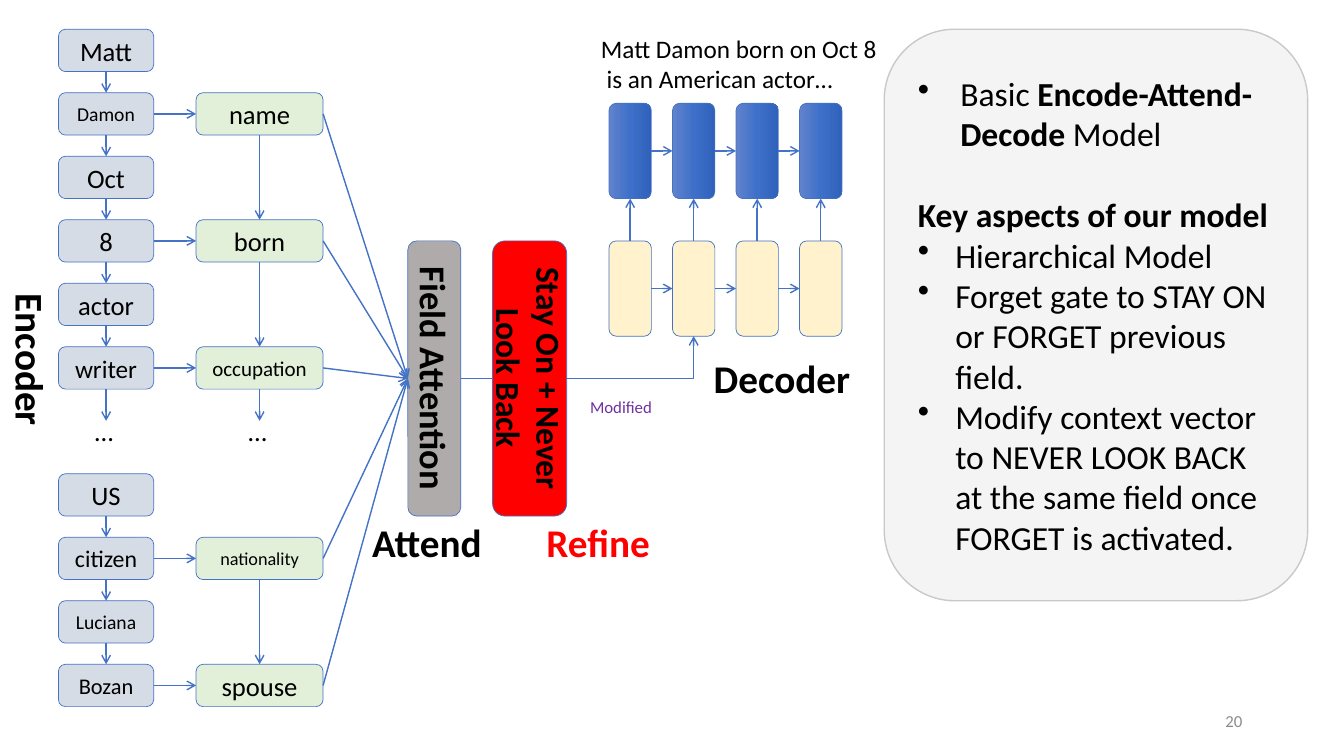
from copy import deepcopy
from dataclasses import dataclass

from pptx import Presentation
from pptx.dml.color import RGBColor as RGB
from pptx.enum.shapes import MSO_CONNECTOR as Wire, MSO_SHAPE as Shape
from pptx.enum.text import MSO_ANCHOR as Anchor, MSO_AUTO_SIZE as Fit, PP_ALIGN as Align
from pptx.oxml.ns import qn
from pptx.oxml.xmlchemy import OxmlElement as Node
from pptx.util import Inches, Pt


@dataclass(frozen=True)
class Theme:
    font: str = "Calibri"
    ink: str = "000000"
    line: str = "4472C4"
    token: str = "D6DCE5"
    field: str = "E2F0D9"
    cell: str = "FFF2CC"
    bar: str = "AFABAB"
    red: str = "FF0000"
    violet: str = "7030A0"
    gray: str = "8C8C8C"
    panel: str = "DBDBDB"
    edge: str = "C9C9C9"
    fade: tuple = ((0, "6183CB"), (0.5, "3E70CA"), (1, "3062BB"))
    title: int = 28
    large: int = 26
    body: int = 24
    label: int = 19
    quote: int = 18
    small: int = 12


T = Theme()
UNIT, LEFT, TOP = 0.21, 0.58, 0.29  # grid step and origin, inches
UP, WEST, DOWN, EAST = range(4)     # sides of a rectangle
PADS = (0.13, 0.07)

TOKENS = [(0, "Matt", 19), (1, "Damon", 14), (2, "Oct", 19), (3, "8", 19),
          (4, "actor", 19), (5, "writer", 18), (7, "US", 19),
          (8, "citizen", 17), (9, "Luciana", 14), (10, "Bozan", 16)]
FIELDS = [(1, "name", 19), (3, "born", 19), (5, "occupation", 15),
          (8, "nationality", 13), (10, "spouse", 19)]
# Each point: runs as (text, bold), hanging indent, space before
POINTS = [
    ([("Basic ", False), ("Encode-Attend-Decode", True), (" Model", False)], 0.42, 0),
    ([("Key aspects of our model", True)], 0, 29),
    ([("Hierarchical Model", False)], 0.37, 0),
    ([("Forget gate to STAY ON or FORGET previous field.", False)], 0.37, 0),
    ([("Modify context vector to NEVER LOOK BACK at the same field once "
       "FORGET is activated.", False)], 0.37, 0),
]


def spot(col, row):
    return Inches(LEFT + col * UNIT), Inches(TOP + row * UNIT)


def place(col, row, wide, high, turn):
    """Frame that covers the given grid area once it is turned."""
    x, y = spot(col, row)
    w, h = Inches(wide * UNIT), Inches(high * UNIT)
    if turn % 180:
        return x + (w - h) // 2, y + (h - w) // 2, h, w
    return x, y, w, h


def style(run, size, color=T.ink, bold=False):
    font = run.font
    font.name, font.size, font.bold = T.font, Pt(size), bold
    font.color.rgb = RGB.from_string(color)


def pad(frame, pads):
    frame.margin_left = frame.margin_right = Inches(pads[0])
    frame.margin_top = frame.margin_bottom = Inches(pads[1])


def write(frame, text, size, color, bold, align):
    frame.text = text
    for para in frame.paragraphs:
        para.alignment = align
        for run in para.runs:
            style(run, size, color, bold)


def box(slide, area, fill, text="", size=T.label, bold=False, turn=0):
    shape = slide.shapes.add_shape(Shape.ROUNDED_RECTANGLE, *place(*area, turn))
    shape.rotation = turn
    shape.shadow.inherit = False
    shape.fill.solid()
    shape.fill.fore_color.rgb = RGB.from_string(fill)
    shape.line.color.rgb = RGB.from_string(T.line)
    shape.line.width = Pt(0.5)
    frame = shape.text_frame
    frame.word_wrap, frame.vertical_anchor = True, Anchor.MIDDLE
    pad(frame, PADS)
    if text:
        write(frame, text, size, T.ink, bold, Align.CENTER)
    return shape


def shade(shape):
    shape.fill.gradient()
    shape.fill.gradient_angle = 270
    stops = shape._element.spPr.find(".//" + qn("a:gsLst"))
    stops.insert(1, deepcopy(stops[0]))
    for stop, (pos, color) in zip(shape.fill.gradient_stops, T.fade):
        stop.position = pos
        stop.color.rgb = RGB.from_string(color)


def note(slide, area, text, size, color=T.ink, bold=False, turn=0,
         align=Align.LEFT, pads=PADS, wrap=False):
    shape = slide.shapes.add_textbox(*place(*area, turn))
    shape.rotation = turn
    frame = shape.text_frame
    frame.word_wrap = wrap
    frame.auto_size = Fit.NONE if wrap else Fit.SHAPE_TO_FIT_TEXT
    pad(frame, pads)
    write(frame, text, size, color, bold, align)
    return frame


def arrow(slide, start, end, kind=Wire.STRAIGHT):
    wire = slide.shapes.add_connector(kind, *start, *end)
    wire.line.color.rgb = RGB.from_string(T.line)
    wire.line.width = Pt(1)
    tip = Node("a:tailEnd")
    tip.set("type", "arrow")
    wire.line._get_or_add_ln().append(tip)
    wire._element.spPr.append(Node("a:effectLst"))
    return wire


def port(shape, side):
    """Middle of a side as seen, and its site number before turning."""
    turns = int(shape.rotation // 90)
    w, h = shape.width, shape.height
    x, y = shape.left + w // 2, shape.top + h // 2
    if turns % 2:
        w, h = h, w
    dx, dy = ((0, -h), (-w, 0), (0, h), (w, 0))[side]
    return (x + dx // 2, y + dy // 2), (side + turns) % 4


def link(slide, one, out, two, into):
    (start, first), (end, last) = port(one, out), port(two, into)
    wire = arrow(slide, start, end)
    wire.begin_connect(one, first)
    wire.end_connect(two, last)
    # Joining ignores rotation, so the ends are set again
    wire.begin_x, wire.begin_y = start
    wire.end_x, wire.end_y = end


def chain(slide, items, col, wide, fill, step):
    """Column of boxes, with arrows between rows one step apart."""
    boxes = {row: box(slide, (col, row * 3, wide, 2), fill, text, size)
             for row, text, size in items}
    for row, shape in boxes.items():
        if row + step in boxes:
            link(slide, shape, DOWN, boxes[row + step], UP)
    # The list goes on below row five
    start, site = port(boxes[5], DOWN)
    wire = arrow(slide, start, spot(col + wide / 2, 18.5))
    wire.begin_connect(boxes[5], site)
    note(slide, (col + wide / 2 - 1.15, 17.9, 2.14, 2.14), "…", T.label)
    return boxes


def decode(slide):
    low, high = ([box(slide, (26 + 3 * i, row, 2, 4.5), T.cell, turn=270)
                  for i in range(4)] for row in (10, 3.5))
    for shape in high:
        shade(shape)
    for line in (low, high):
        for one, two in zip(line, line[1:]):
            link(slide, one, EAST, two, WEST)
    for one, two in zip(low, high):
        link(slide, one, UP, two, DOWN)


def panel(slide):
    shape = box(slide, (39, 0, 20, 27), T.panel)
    alpha = Node("a:alpha")
    alpha.set("val", "30000")
    shape._element.spPr.find(qn("a:solidFill"))[0].append(alpha)
    shape.line.color.rgb = RGB.from_string(T.edge)
    shape.line.width = Pt(1)
    frame = shape.text_frame
    for i, (runs, hang, gap) in enumerate(POINTS):
        para = frame.add_paragraph() if i else frame.paragraphs[0]
        para.alignment = Align.LEFT
        if gap:
            para.space_before = Pt(gap)
        if hang:
            props = para._p.get_or_add_pPr()
            props.set("marL", str(Inches(hang)))
            props.set("indent", str(-Inches(hang)))
            mark = Node("a:buChar")
            mark.set("char", "•")
            props.append(mark)
        for text, bold in runs:
            run = para.add_run()
            run.text = text
            style(run, T.body, bold=bold)


def main():
    deck = Presentation()
    deck.slide_width, deck.slide_height = Inches(13.33), Inches(7.5)
    slide = deck.slides.add_slide(deck.slide_layouts[6])

    # Path from attention to decoder, behind the refine bar
    bend = arrow(slide, spot(19, 16.5), spot(30, 14.5), Wire.ELBOW)
    bend._element.spPr.find(qn("a:prstGeom")).set("prst", "bentConnector2")

    # Encoder
    fields = chain(slide, FIELDS, 6.5, 6, T.field, 2)
    tokens = chain(slide, TOKENS, 0, 4.5, T.token, 1)
    for row, field in fields.items():
        link(slide, tokens[row], EAST, field, WEST)

    # Attend and refine
    bar = box(slide, (16.5, 10, 2.5, 13), T.bar, "Field Attention", T.large, True, 90)
    for field in fields.values():
        link(slide, field, EAST, bar, WEST)
    box(slide, (20.5, 10, 3.5, 13), T.red, "Stay On + Never Look Back", T.body, True, 90)

    decode(slide)
    panel(slide)

    # Labels
    note(slide, (-2.74, 11.88, 2.9, 7.62), "Encoder", T.title, bold=True, turn=90)
    note(slide, (14.2, 22.76, 6.57, 2.9), "Attend", T.title, bold=True)
    note(slide, (22.43, 22.76, 6.24, 2.9), "Refine", T.title, T.red, True)
    note(slide, (30.33, 15, 7.81, 2.9), "Decoder", T.title, bold=True)
    note(slide, (25, -0.14, 14.48, 3.52),
         "Matt Damon born on Oct 8\n is an American actor…", T.quote)
    note(slide, (24.62, 17.14, 3.9, 1.43), "Modified", T.small, T.violet,
         align=Align.CENTER, pads=(0.1, 0.05))
    page = note(slide, (42.1, 31.71, 14.29, 1.9), "20", T.small, T.gray,
                align=Align.RIGHT, pads=(0.1, 0.05), wrap=True)
    page.vertical_anchor = Anchor.MIDDLE

    deck.save("out.pptx")


if __name__ == "__main__":
    main()
